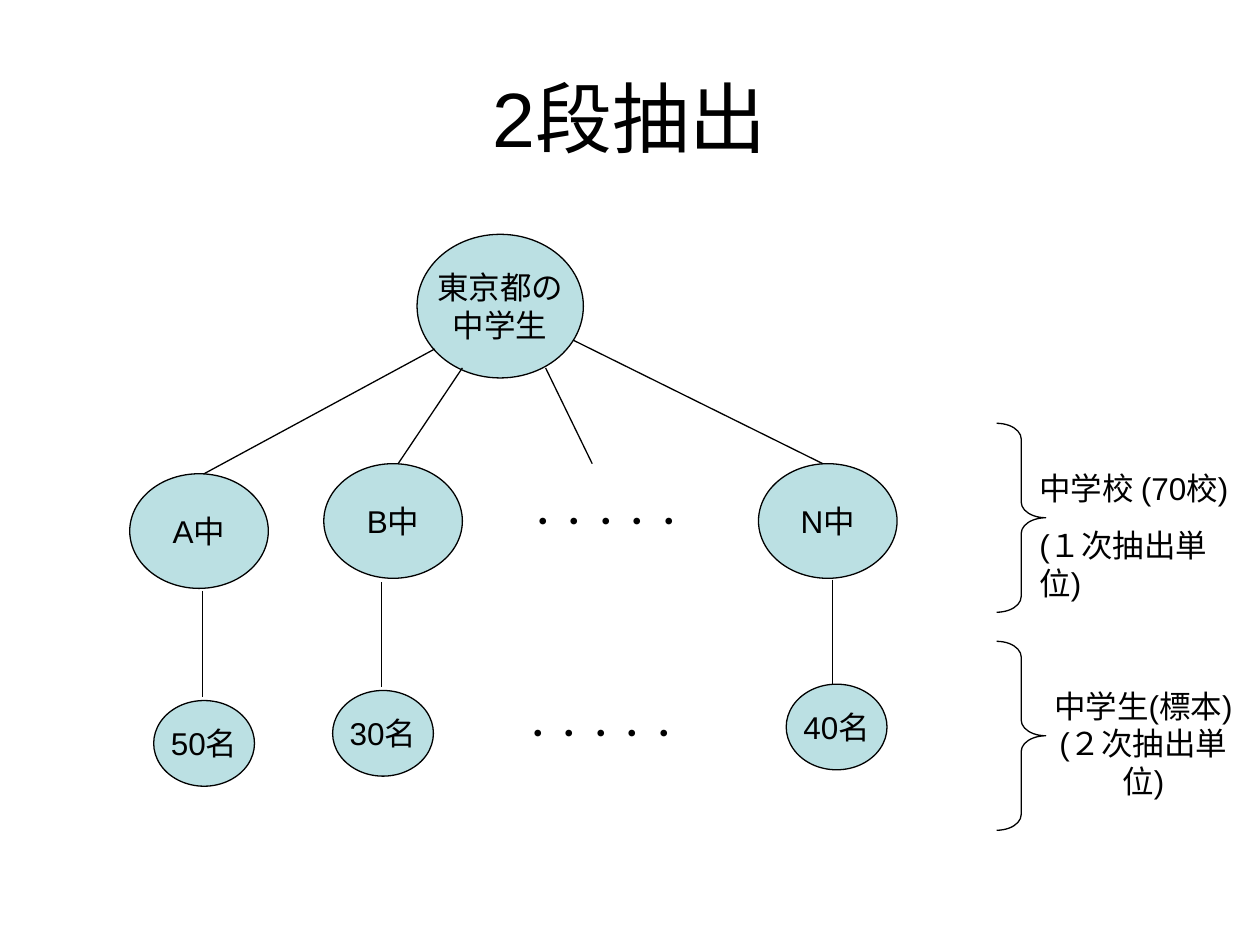
"""Build the two-stage sampling tree slide."""
from dataclasses import dataclass

from lxml.etree import SubElement
from pptx import Presentation
from pptx.dml.color import RGBColor
from pptx.enum.shapes import MSO_CONNECTOR, MSO_SHAPE
from pptx.enum.text import MSO_ANCHOR, PP_ALIGN
from pptx.oxml.ns import qn
from pptx.slide import Slide
from pptx.text.text import TextFrame
from pptx.util import Inches, Pt


@dataclass(frozen=True)
class Theme:
    font: str = "Arial"
    ink: RGBColor = RGBColor(0x00, 0x00, 0x00)
    node: RGBColor = RGBColor(0xBB, 0xE0, 0xE3)
    title: Pt = Pt(44)
    body: Pt = Pt(18)
    line: Pt = Pt(0.75)


@dataclass(frozen=True)
class Node:
    text: str
    x: float
    y: float
    w: float
    h: float
    filled: bool = True


@dataclass(frozen=True)
class Link:
    x1: float
    y1: float
    x2: float
    y2: float


@dataclass(frozen=True)
class Stage:
    brace_y: float
    label_y: float
    label_h: float
    text: str
    align: PP_ALIGN


THEME = Theme()
SCHOOL = (1.1, 0.91)
SAMPLE = (0.8, 0.68)
DOTS = "・・・・・"
NODES = [
    Node("東京都の\n中学生", 3.31, 1.86, 1.32, 1.14),
    Node("A中", 1.03, 3.76, *SCHOOL),
    Node("B中", 2.57, 3.68, *SCHOOL),
    Node(DOTS, 4.26, 3.68, *SCHOOL, filled=False),
    Node("N中", 6.02, 3.68, *SCHOOL),
    Node("50名", 1.22, 5.56, *SAMPLE),
    Node("30名", 2.64, 5.48, *SAMPLE),
    Node(DOTS, 4.37, 5.48, *SAMPLE, filled=False),
    Node("40名", 6.24, 5.43, *SAMPLE),
]
LINKS = [
    Link(3.45, 2.77, 1.62, 3.76),
    Link(3.67, 2.92, 3.16, 3.68),
    Link(4.33, 2.92, 4.7, 3.68),
    Link(4.55, 2.7, 6.53, 3.68),
    Link(1.61, 4.69, 1.61, 5.53),
    Link(3.03, 4.62, 3.03, 5.45),
    Link(6.61, 4.6, 6.61, 5.43),
]
STAGES = [
    Stage(3.36, 3.67, 1.46, "中学校 (70校)\n(１次抽出単位)", PP_ALIGN.LEFT),
    Stage(5.09, 5.4, 1.0, "中学生(標本) (２次抽出単位)", PP_ALIGN.CENTER),
]


def write(tf: TextFrame, text: str, size: Pt, align: PP_ALIGN, gap: Pt = Pt(0)) -> None:
    """Fill a text frame with one paragraph per line of text."""
    tf.text = text
    for i, p in enumerate(tf.paragraphs):
        p.alignment = align
        p.space_before = gap if i else Pt(0)
        p.font.name = THEME.font
        p.font.size = size
        p.font.color.rgb = THEME.ink


def add_node(s: Slide, node: Node) -> None:
    """Draw one ellipse of the tree with its label."""
    sp = s.shapes.add_shape(MSO_SHAPE.OVAL, Inches(node.x), Inches(node.y),
                            Inches(node.w), Inches(node.h))
    sp.shadow.inherit = False
    if node.filled:
        sp.fill.solid()
        sp.fill.fore_color.rgb = THEME.node
        sp.line.color.rgb = THEME.ink
        sp.line.width = THEME.line
    else:
        sp.fill.background()
        sp.line.fill.background()
    tf = sp.text_frame
    tf.word_wrap = False
    tf.vertical_anchor = MSO_ANCHOR.MIDDLE
    write(tf, node.text, THEME.body, PP_ALIGN.CENTER)


def add_link(s: Slide, link: Link) -> None:
    """Draw one branch of the tree."""
    cx = s.shapes.add_connector(MSO_CONNECTOR.STRAIGHT, Inches(link.x1), Inches(link.y1),
                                Inches(link.x2), Inches(link.y2))
    cx.line.color.rgb = THEME.ink
    cx.line.width = THEME.line
    SubElement(cx._element.spPr, qn("a:effectLst"))


def add_stage(s: Slide, stage: Stage) -> None:
    """Draw the brace and label of one sampling stage."""
    sp = s.shapes.add_shape(MSO_SHAPE.RIGHT_BRACE, Inches(7.91), Inches(stage.brace_y),
                            Inches(0.39), Inches(1.5))
    sp.adjustments[0] = 0.32
    sp.shadow.inherit = False
    sp.fill.background()
    sp.line.color.rgb = THEME.ink
    sp.line.width = THEME.line
    tb = s.shapes.add_textbox(Inches(8.15), Inches(stage.label_y),
                              Inches(1.85), Inches(stage.label_h))
    tb.text_frame.word_wrap = True
    write(tb.text_frame, stage.text, THEME.body, stage.align, Pt(11.2))


def main() -> None:
    """Build and save the slide."""
    prs = Presentation()
    prs.slide_width, prs.slide_height = Inches(10), Inches(7.5)
    s = prs.slides.add_slide(prs.slide_layouts[5])
    title = s.shapes.title
    title.left, title.top = Inches(0.5), Inches(0.3)
    title.width, title.height = Inches(9), Inches(1.25)
    title.text_frame.vertical_anchor = MSO_ANCHOR.MIDDLE
    write(title.text_frame, "2段抽出", THEME.title, PP_ALIGN.CENTER)
    for node in NODES:
        add_node(s, node)
    for link in LINKS:
        add_link(s, link)
    for stage in STAGES:
        add_stage(s, stage)
    prs.save("out.pptx")


if __name__ == "__main__":
    main()
